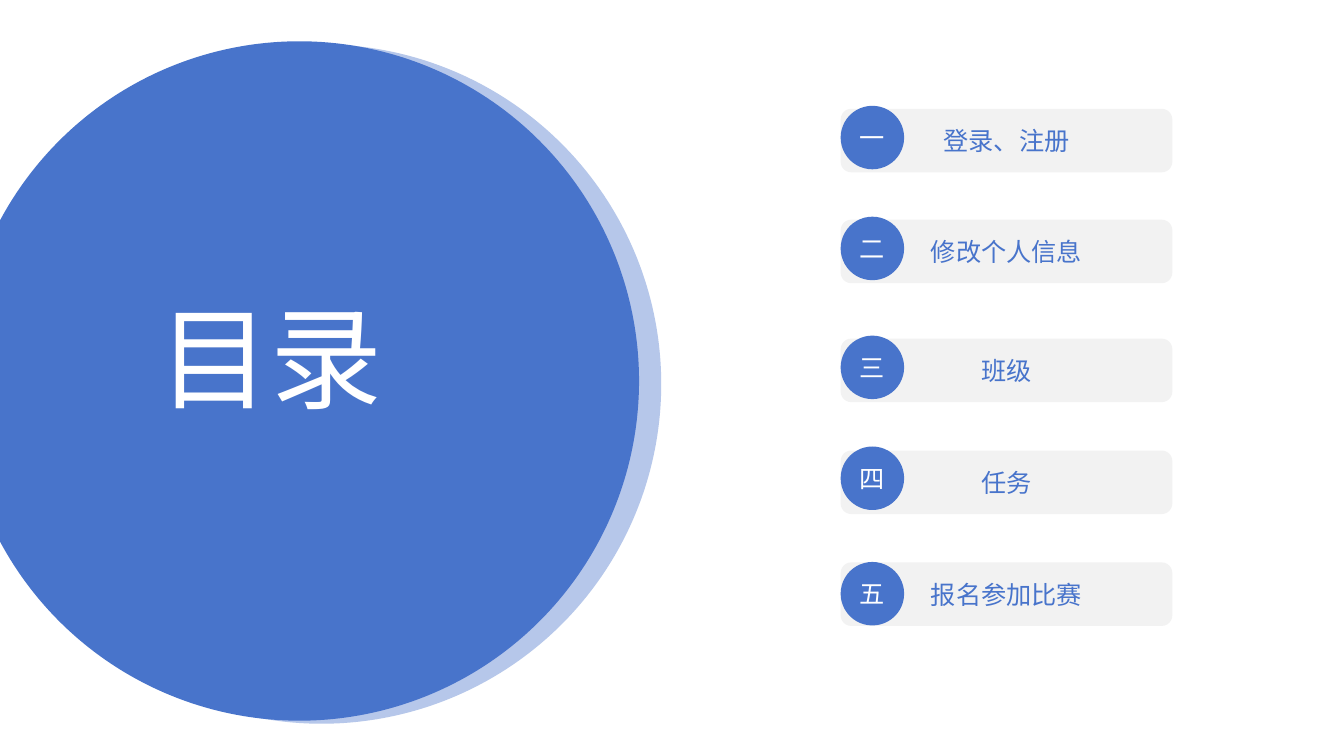
from dataclasses import dataclass

import pptx
import pptx.dml.color
import pptx.enum.shapes
import pptx.enum.text
import pptx.util

Pt = pptx.util.Pt
Shape = pptx.enum.shapes.MSO_SHAPE
Align = pptx.enum.text.PP_ALIGN
Anchor = pptx.enum.text.MSO_ANCHOR

COLORS = {"blue": "4874CB", "pale": "B6C7EA", "gray": "F2F2F2", "white": "FFFFFF"}
FONT = "Calibri"

DISC_SIZE = 485.28
ITEM_LEFT, ITEM_WIDTH, ITEM_HEIGHT = 600.48, 236.88, 45.36


@dataclass
class Disc:
    left: float
    top: float
    color: str


@dataclass
class Item:
    number: str
    label: str
    bar_top: float
    badge_top: float


DISCS = [Disc(-12.96, 31.68, "pale"), Disc(-28.8, 29.52, "blue")]
ITEMS = [
    Item("一", "登录、注册", 77.76, 75.6),
    Item("二", "修改个人信息", 156.96, 154.8),
    Item("三", "班级", 241.92, 239.76),
    Item("四", "任务", 321.84, 318.96),
    Item("五", "报名参加比赛", 401.76, 401.4),
]


def rgb(color: str) -> pptx.dml.color.RGBColor:
    return pptx.dml.color.RGBColor.from_string(COLORS[color])


def write(sp, text: str, size: float, color: str, align, anchor) -> None:
    tf = sp.text_frame
    tf.text = text
    tf.vertical_anchor = anchor
    p = tf.paragraphs[0]
    p.alignment = align
    r = p.runs[0]
    r.font.name = FONT
    r.font.size = Pt(size)
    r.font.color.rgb = rgb(color)


def add_filled(s, kind, left: float, top: float, width: float, height: float, color: str):
    """Add a preset shape with a flat fill, no line and no shadow."""
    sp = s.shapes.add_shape(kind, Pt(left), Pt(top), Pt(width), Pt(height))
    sp.fill.solid()
    sp.fill.fore_color.rgb = rgb(color)
    sp.line.fill.background()
    sp.shadow.inherit = False
    return sp


def add_disc(s, disc: Disc) -> None:
    add_filled(s, Shape.OVAL, disc.left, disc.top, DISC_SIZE, DISC_SIZE, disc.color)


def add_item(s, item: Item) -> None:
    bar = add_filled(s, Shape.ROUNDED_RECTANGLE, ITEM_LEFT, item.bar_top,
                     ITEM_WIDTH, ITEM_HEIGHT, "gray")
    write(bar, item.label, 18, "blue", Align.CENTER, Anchor.MIDDLE)
    badge = add_filled(s, Shape.OVAL, ITEM_LEFT, item.badge_top,
                       ITEM_HEIGHT, ITEM_HEIGHT, "blue")
    write(badge, item.number, 18, "white", Align.CENTER, Anchor.MIDDLE)


def set_title(s, text: str) -> None:
    """Place the title placeholder in front of the discs."""
    sp = s.shapes.title
    sp.left, sp.top, sp.width, sp.height = Pt(105.84), Pt(202.32), Pt(247.68), Pt(104.4)
    write(sp, text, 80, "white", Align.LEFT, Anchor.TOP)
    sp.text_frame.word_wrap = True
    sp.text_frame.auto_size = pptx.enum.text.MSO_AUTO_SIZE.NONE
    s.shapes._spTree.append(sp._element)


def main() -> None:
    prs = pptx.Presentation()
    prs.slide_width, prs.slide_height = Pt(960), Pt(540)
    s = prs.slides.add_slide(prs.slide_layouts[5])
    for disc in DISCS:
        add_disc(s, disc)
    for item in ITEMS:
        add_item(s, item)
    set_title(s, "目录")
    prs.save("out.pptx")


if __name__ == "__main__":
    main()
